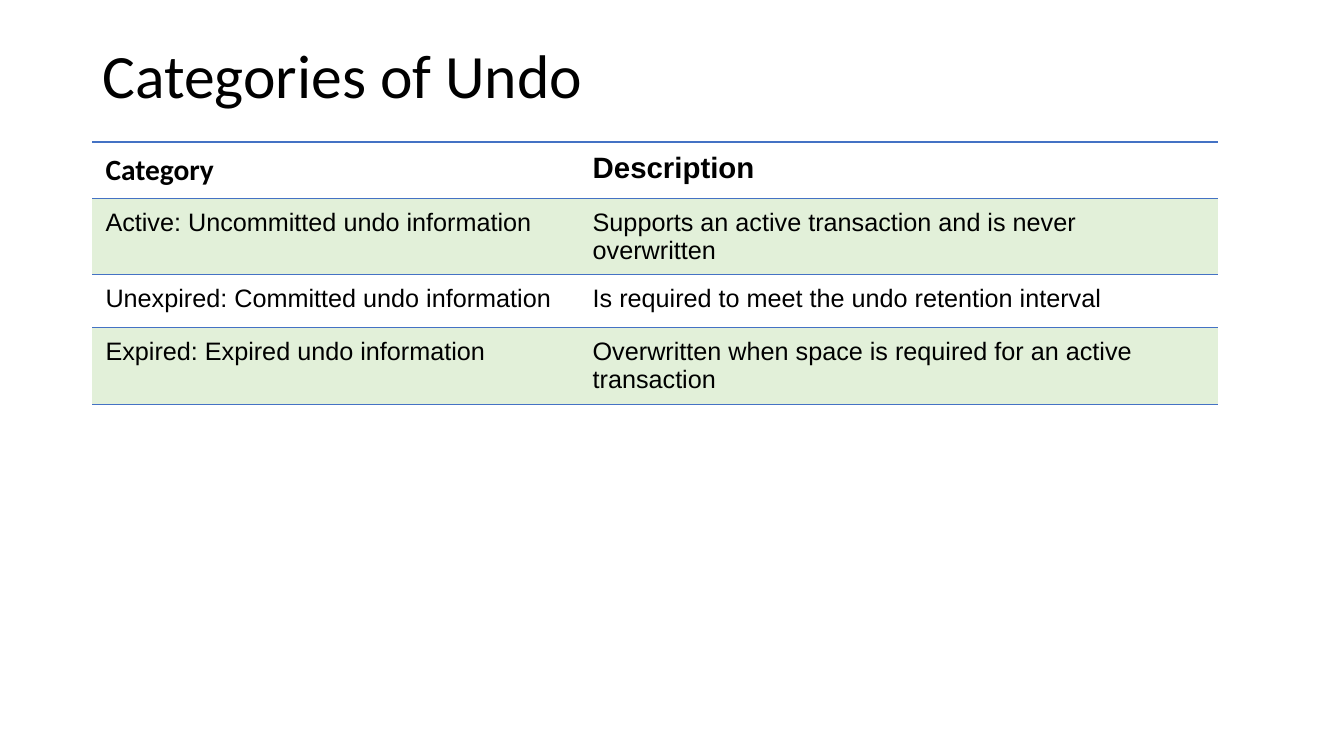
from dataclasses import dataclass

from lxml import etree
from pptx import Presentation
from pptx.dml.color import RGBColor
from pptx.enum.text import MSO_ANCHOR, PP_ALIGN
from pptx.oxml.ns import qn
from pptx.util import Inches, Pt

TOP = MSO_ANCHOR.TOP
LEFT = PP_ALIGN.LEFT
GRID_COLUMNS, GRID_ROWS = 160, 90
PLAIN_TABLE_STYLE = "{2D5ABB26-0587-4C30-8999-92F81FD0307C}"


@dataclass(frozen=True)
class Theme:
    """Colours, fonts and sizes of the slide."""

    ink: str = "000000"
    band: str = "E2F0D9"
    rule: str = "4472C4"
    heading_font: str = "Calibri"
    body_font: str = "Arial"
    title_size: int = 44
    header_size: int = 21
    body_size: int = 18
    rule_width: int = 1


def write_text(frame, text, *, font, size, color, bold=False, spacing=None):
    """Write one left-aligned paragraph into a text frame."""
    frame.word_wrap = True
    paragraph = frame.paragraphs[0]
    paragraph.alignment = LEFT
    paragraph.line_spacing = spacing
    run = paragraph.add_run()
    run.text = text
    run.font.name = font
    run.font.size = Pt(size)
    run.font.bold = bold
    run.font.color.rgb = RGBColor.from_string(color)


class SlideBuilder:
    """Places styled elements on one slide by grid columns and rows."""

    def __init__(self, presentation, theme):
        """Add a title-only slide and measure its grid."""
        self.theme = theme
        self.slide = presentation.slides.add_slide(presentation.slide_layouts[5])
        self.column = presentation.slide_width / GRID_COLUMNS
        self.row = presentation.slide_height / GRID_ROWS

    def across(self, columns):
        """Convert grid columns to a length."""
        return round(columns * self.column)

    def down(self, rows):
        """Convert grid rows to a length."""
        return round(rows * self.row)

    def title(self, text, left, top, width, height):
        """Place and format the title placeholder."""
        shape = self.slide.shapes.title
        shape.left, shape.top = self.across(left), self.down(top)
        shape.width, shape.height = self.across(width), self.down(height)
        shape.text_frame.vertical_anchor = TOP
        write_text(shape.text_frame, text, font=self.theme.heading_font,
                   size=self.theme.title_size, color=self.theme.ink, spacing=0.9)

    def table(self, records, left, top, widths, heights):
        """Add a ruled table with a header and alternating bands."""
        table = self.slide.shapes.add_table(
            len(records), len(widths), self.across(left), self.down(top),
            self.across(sum(widths)), self.down(sum(heights))).table
        table.first_row = table.horz_banding = False
        table._tbl.tblPr.find(qn("a:tableStyleId")).text = PLAIN_TABLE_STYLE
        for column, width in zip(table.columns, widths):
            column.width = self.across(width)
        for row, height in zip(table.rows, heights):
            row.height = self.down(height)
        for row_index, record in enumerate(records):
            for column_index, text in enumerate(record):
                self.cell(table.cell(row_index, column_index), text,
                          header=row_index == 0, banded=row_index % 2 == 1,
                          first=column_index == 0)

    def cell(self, cell, text, *, header, banded, first):
        """Fill, rule and write one table cell."""
        theme = self.theme
        cell.margin_left = cell.margin_right = Inches(0.13)
        cell.margin_top = cell.margin_bottom = Inches(0.1)
        cell.vertical_anchor = TOP
        if banded:
            cell.fill.solid()
            cell.fill.fore_color.rgb = RGBColor.from_string(theme.band)
        else:
            cell.fill.background()
        self.rules(cell)
        write_text(cell.text_frame, text, bold=header, color=theme.ink,
                   font=theme.heading_font if header and first else theme.body_font,
                   size=theme.header_size if header else theme.body_size)

    def rules(self, cell):
        """Draw the top and bottom borders of a cell."""
        properties = cell._tc.get_or_add_tcPr()
        for position, side in enumerate(("a:lnT", "a:lnB")):
            line = etree.Element(qn(side), w=str(Pt(self.theme.rule_width)))
            fill = etree.SubElement(line, qn("a:solidFill"))
            etree.SubElement(fill, qn("a:srgbClr"), val=self.theme.rule)
            properties.insert(position, line)


def main():
    """Build and save the presentation."""
    presentation = Presentation()
    presentation.slide_width = Inches(13.33)
    presentation.slide_height = Inches(7.5)
    builder = SlideBuilder(presentation, Theme())
    builder.title("Categories of Undo", left=11, top=4.8, width=138, height=17.4)
    builder.table(
        [
            ("Category", "Description"),
            ("Active: Uncommitted undo information",
             "Supports an active transaction and is never overwritten"),
            ("Unexpired: Committed undo information",
             "Is required to meet the undo retention interval"),
            ("Expired: Expired undo information",
             "Overwritten when space is required for an active transaction"),
        ],
        left=11, top=16.9, widths=(58, 76), heights=(6.7, 9.1, 6.3, 9.1))
    presentation.save("out.pptx")


if __name__ == "__main__":
    main()
